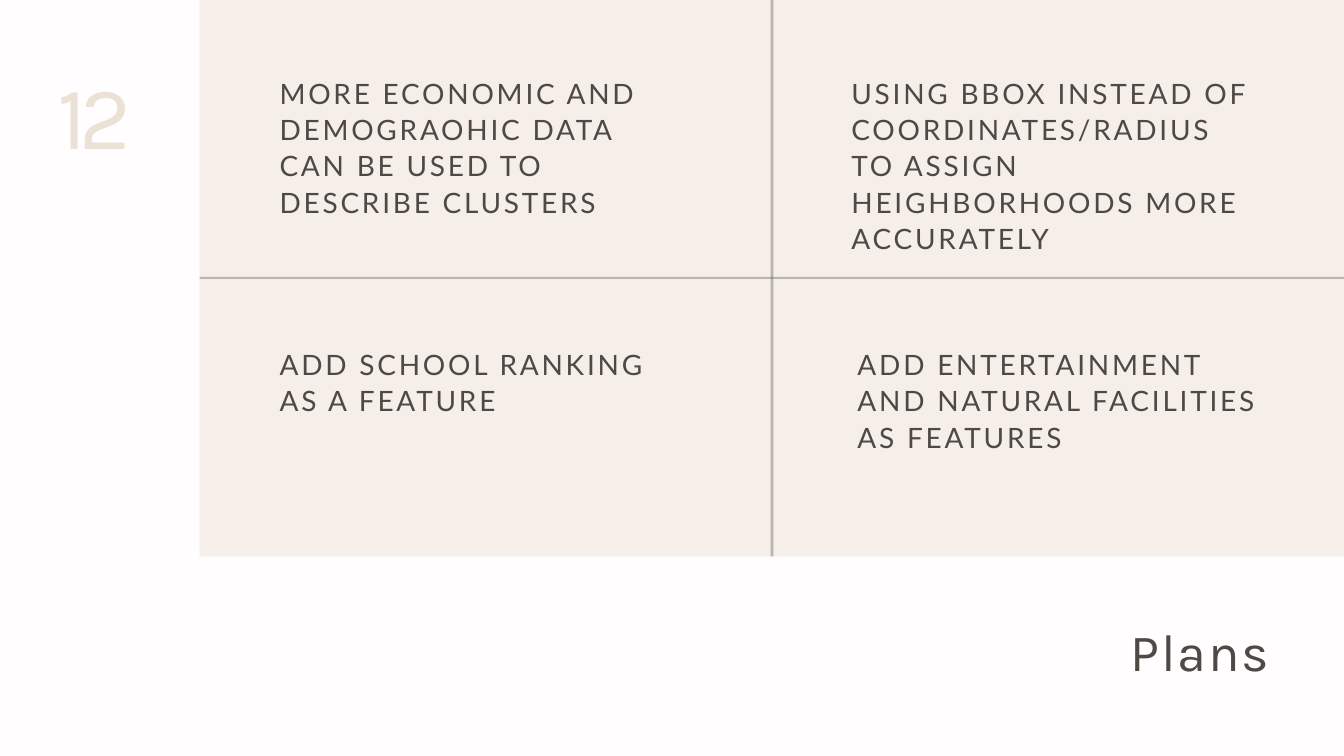
from lxml import etree
from pptx import Presentation
from pptx.dml.color import RGBColor
from pptx.enum.shapes import MSO_SHAPE as Shape
from pptx.enum.text import PP_ALIGN as Align
from pptx.oxml.ns import qn
from pptx.util import Pt

PAPER = RGBColor(0xFF, 0xFD, 0xFD)
SAND = RGBColor(0xE4, 0xD4, 0xC5)
PALE_SAND = RGBColor(0xEC, 0xE1, 0xD5)
INK = RGBColor(0x4D, 0x4A, 0x46)

WIDTH, HEIGHT = 1440, 810
PANEL_LEFT, PANEL_HEIGHT = 213.8, 596.2
CARD_WIDTH = 440.64

PLANS = [
    (299.5, 78.5, 155, "MORE ECONOMIC AND DEMOGRAOHIC DATA CAN BE USED TO DESCRIBE CLUSTERS"),
    (912.2, 78.5, 155, "USING BBOX INSTEAD OF COORDINATES/RADIUS TO ASSIGN HEIGHBORHOODS MORE ACCURATELY"),
    (299.5, 369.4, 77, "ADD SCHOOL RANKING AS A FEATURE"),
    (918.7, 369.4, 116, "ADD ENTERTAINMENT AND NATURAL FACILITIES AS FEATURES"),
]


class PlansSlide:
    def __init__(self, deck):
        self.page = deck.slides.add_slide(deck.slide_layouts[6])
        background = self.page.background.fill
        background.solid()
        background.fore_color.rgb = PAPER

    def block(self, left, top, width, height, color, opacity=35):
        block = self.page.shapes.add_shape(
            Shape.RECTANGLE, Pt(left), Pt(top), Pt(width), Pt(height))
        block.shadow.inherit = False
        block.fill.solid()
        block.fill.fore_color.rgb = color
        block.line.fill.background()
        tint = block.fill._xPr.find(".//" + qn("a:srgbClr"))
        etree.SubElement(tint, qn("a:alpha")).set("val", str(opacity * 1000))

    def text(self, left, top, width, height, words, size, font="Lato",
             color=INK, tracking=3, leading=39, align=Align.LEFT):
        box = self.page.shapes.add_textbox(Pt(left), Pt(top), Pt(width), Pt(height))
        frame = box.text_frame
        frame.word_wrap = True
        frame.margin_left = frame.margin_right = Pt(0)
        frame.margin_top = frame.margin_bottom = Pt(0)
        para = frame.paragraphs[0]
        para.alignment = align
        para.line_spacing = Pt(leading) if leading else 1.0
        span = para.add_run()
        span.text = words
        span.font.size = Pt(size)
        span.font.name = font
        span.font.color.rgb = color
        span.font._element.set("spc", str(round(tracking * 100)))


def main():
    deck = Presentation()
    deck.slide_width, deck.slide_height = Pt(WIDTH), Pt(HEIGHT)
    slide = PlansSlide(deck)
    slide.text(217.4, 658, 1142, 71.3, "Plans", 56, font="Karla",
               tracking=1.7, leading=72.8, align=Align.RIGHT)
    slide.block(PANEL_LEFT, 0, WIDTH - PANEL_LEFT, PANEL_HEIGHT, SAND)
    slide.block(825.8, 0, 2.9, PANEL_HEIGHT, INK)
    slide.block(PANEL_LEFT, 296.6, WIDTH - PANEL_LEFT, 2.2, INK)
    for left, top, height, words in PLANS:
        slide.text(left, top, CARD_WIDTH, height, words, 30)
    slide.text(62, 64, 120, 112, "12", 96, font="Karla", color=PALE_SAND,
               tracking=-8, leading=None)
    deck.save("out.pptx")


if __name__ == "__main__":
    main()
